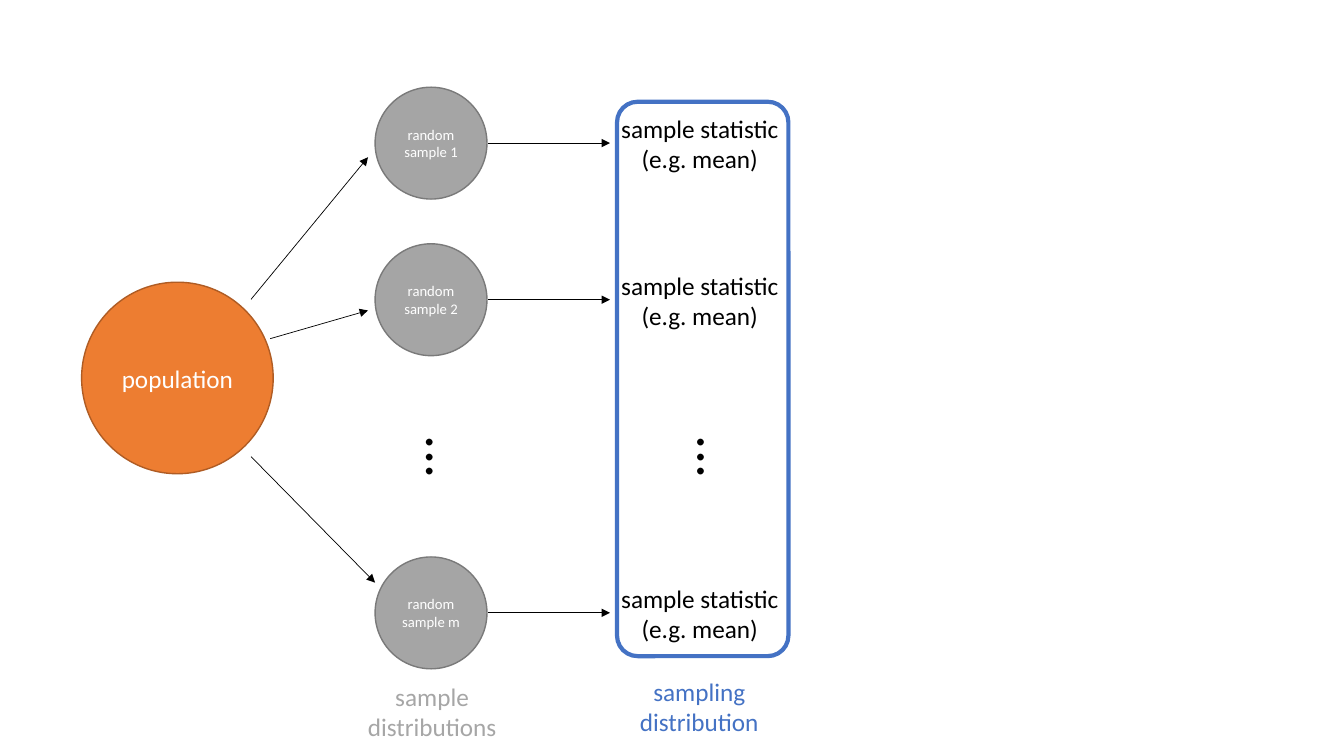
"""Build a slide showing how random samples lead to a sampling distribution."""
from lxml import etree
from pptx import Presentation
from pptx.dml.color import RGBColor
from pptx.enum.shapes import MSO_CONNECTOR, MSO_SHAPE
from pptx.enum.text import MSO_ANCHOR, PP_ALIGN
from pptx.oxml.ns import qn
from pptx.util import Inches, Pt

COLORS = {
    "population": "ED7D31", "population_edge": "AF5C24",
    "sample": "A5A5A5", "sample_edge": "7A7A7A", "sample_label": "A6A6A6",
    "sampling": "4472C4", "black": "000000", "white": "FFFFFF",
}

presentation = Presentation()
presentation.slide_width = Inches(13.33)
presentation.slide_height = Inches(7.5)
slide = presentation.slides.add_slide(presentation.slide_layouts[6])


def add_text(text, left, top, width, height, size=18, color="black", fill=None,
             edge=None, anchor=MSO_ANCHOR.MIDDLE, rotation=0):
    box = tuple(Inches(length) for length in (left, top, width, height))
    if fill:
        shape = slide.shapes.add_shape(MSO_SHAPE.OVAL, *box)
        shape.shadow.inherit = False
        shape.fill.solid()
        shape.fill.fore_color.rgb = RGBColor.from_string(COLORS[fill])
        shape.line.color.rgb = RGBColor.from_string(COLORS[edge])
        shape.line.width = Pt(1)
    else:
        shape = slide.shapes.add_textbox(*box)
    shape.rotation = rotation
    frame = shape.text_frame
    frame.word_wrap = fill is not None
    frame.vertical_anchor = anchor
    frame.text = text
    for paragraph in frame.paragraphs:
        paragraph.alignment = PP_ALIGN.CENTER
        font = paragraph.runs[0].font
        font.name = "Calibri"
        font.size = Pt(size)
        font.color.rgb = RGBColor.from_string(COLORS[color])


def add_arrow(*ends):
    arrow = slide.shapes.add_connector(
        MSO_CONNECTOR.STRAIGHT, *(Inches(length) for length in ends))
    arrow.line.color.rgb = RGBColor.from_string(COLORS["black"])
    arrow.line.width = Pt(0.5)
    etree.SubElement(arrow.line._get_or_add_ln(), qn("a:tailEnd"), type="triangle")
    etree.SubElement(arrow._element.spPr, qn("a:effectLst"))


add_text("population", 0.81, 2.8, 1.9, 1.9, color="white",
         fill="population", edge="population_edge")
for ends in [(2.49, 2.97, 3.65, 1.56), (2.68, 3.36, 3.65, 3.08),
             (2.49, 4.53, 3.72, 5.78)]:
    add_arrow(*ends)

first_center, last_center = 1.42, 6.08
row_pitch = (last_center - first_center) / 3
diameter = 1.11
for row, name in [(0, "1"), (1, "2"), (3, "m")]:
    center = first_center + row * row_pitch
    add_text(f"random sample {name}", 3.72, center - diameter / 2, diameter, diameter,
             size=10.5, color="white", fill="sample", edge="sample_edge")
    add_text("sample statistic\n(e.g. mean)", 6.05, center - 0.35, 1.78, 0.71)
    add_arrow(4.84, center, 6.05, center)

for left in (4.14, 6.83):
    add_text("...", left, 4.15, 0.62, 0.77, size=40, rotation=90)

frame_shape = slide.shapes.add_shape(
    MSO_SHAPE.ROUNDED_RECTANGLE, Inches(6.12), Inches(1.01), Inches(1.7), Inches(5.5))
frame_shape.shadow.inherit = False
frame_shape.adjustments[0] = 0.12
frame_shape.fill.background()
frame_shape.line.color.rgb = RGBColor.from_string(COLORS["sampling"])
frame_shape.line.width = Pt(3)

add_text("sample\ndistributions", 3.54, 6.71, 1.49, 0.71,
         color="sample_label", anchor=MSO_ANCHOR.TOP)
add_text("sampling\ndistribution", 6.24, 6.66, 1.39, 0.71,
         color="sampling", anchor=MSO_ANCHOR.TOP)

presentation.save("out.pptx")
